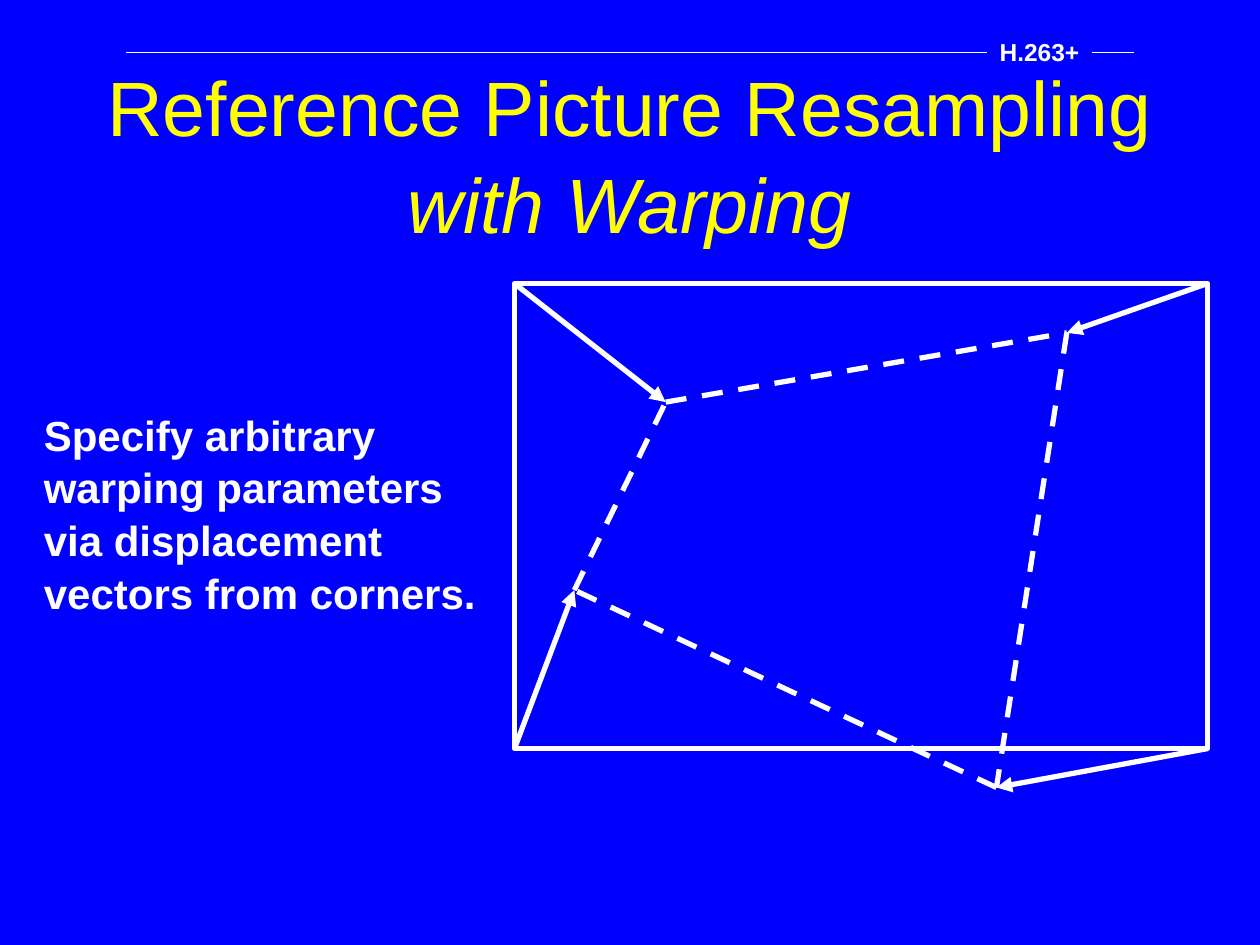
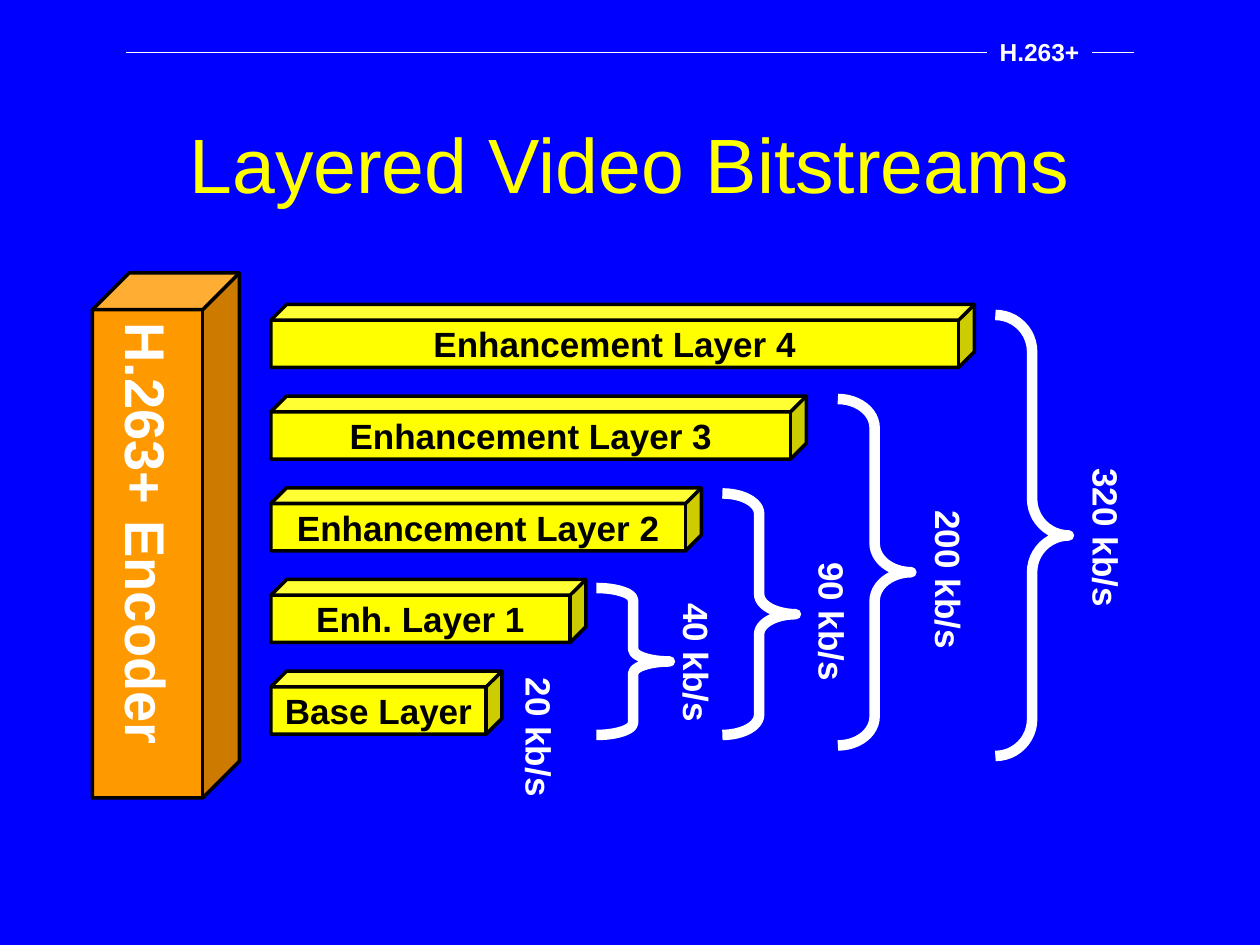
from itertools import pairwise

from lxml.etree import SubElement
from pptx import Presentation
from pptx.dml.color import RGBColor
from pptx.enum.dml import MSO_LINE
from pptx.enum.shapes import MSO_CONNECTOR, MSO_SHAPE
from pptx.enum.text import MSO_ANCHOR, MSO_AUTO_SIZE, PP_ALIGN
from pptx.oxml.ns import qn
from pptx.util import Inches, Pt

COLORS = {
    "back": "0000FF",
    "title": "FFFF00",
    "layer": "FFFF00",
    "encoder": "FF9900",
    "light": "FFFFFF",
    "dark": "000000",
}
FONT = "Arial"
COLS, ROWS = 120, 90  # grid of 1/12 inch cells
TITLE_ONLY = 5


def rgb(name):
    return RGBColor.from_string(COLORS[name])


def grid(*cells):
    return [Inches(c / 12) for c in cells]


# Formatting helpers
def set_text(sp, lines, size, color="light", bold=True, align=PP_ALIGN.CENTER, wrap=False):
    tf = sp.text_frame
    frame_format = {
        "text": "\n".join(lines),
        "word_wrap": wrap,
        "auto_size": MSO_AUTO_SIZE.NONE,
        "vertical_anchor": MSO_ANCHOR.MIDDLE,
    }
    for name, value in frame_format.items():
        setattr(tf, name, value)
    for p in tf.paragraphs:
        p.alignment = align
        if len(lines) > 1:
            p.line_spacing = 1.05
        for r in p.runs:
            for name, value in {"name": FONT, "size": Pt(size), "bold": bold}.items():
                setattr(r.font, name, value)
            r.font.color.rgb = rgb(color)
    return tf


def set_line(sp, color, width):
    sp.line.color.rgb = rgb(color)
    sp.line.width = Pt(width)


# Element helpers
def add_shape(s, kind, box, fill=None, line=None, width=0):
    sp = s.shapes.add_shape(kind, *grid(*box))
    sp.shadow.inherit = False
    if fill:
        sp.fill.solid()
        sp.fill.fore_color.rgb = rgb(fill)
    else:
        sp.fill.background()
    if line:
        set_line(sp, line, width)
    else:
        sp.line.fill.background()
    return sp


def add_line(s, start, end, width=3, dashed=False, arrow=False):
    cx = s.shapes.add_connector(MSO_CONNECTOR.STRAIGHT, *grid(*start, *end))
    set_line(cx, "light", width)
    if dashed:
        cx.line.dash_style = MSO_LINE.DASH
    if arrow:
        SubElement(cx.line._get_or_add_ln(), qn("a:tailEnd"), type="triangle")
    SubElement(cx.element.spPr, qn("a:effectLst"))


def add_label(s, lines, box, size, align=PP_ALIGN.CENTER, rotation=0):
    sp = s.shapes.add_textbox(*grid(*box))
    sp.rotation = rotation
    set_text(sp, lines, size, align=align)


def add_cube(s, text, box, fill, size, color):
    sp = add_shape(s, MSO_SHAPE.CUBE, box, fill, "dark", 2)
    sp.adjustments[0] = 0.25
    set_text(sp, [text], size, color)
    return sp


def add_brace(s, left, top, bottom, width=7):
    height = bottom - top
    sp = add_shape(s, MSO_SHAPE.RIGHT_BRACE, (left, top, width, height), None, "light", 6)
    sp.adjustments[0] = height / 12 / width  # each curve takes 1/12 of the height
    sp.adjustments[1] = 0.5


def add_slide(prs, title, top, italic_line=None):
    s = prs.slides.add_slide(prs.slide_layouts[TITLE_ONLY])
    sp = s.shapes.title
    sp.left, sp.top, sp.width, sp.height = grid(9, top, COLS - 18, 15)
    tf = set_text(sp, [title], 44, "title", bold=False, wrap=True)
    if italic_line:
        p = tf.paragraphs[0]
        p.line_spacing = 1.05
        p.add_line_break()
        r = p.add_run()
        r.text = italic_line
        font_format = {"name": FONT, "size": Pt(44), "bold": False, "italic": True}
        for name, value in font_format.items():
            setattr(r.font, name, value)
        r.font.color.rgb = rgb("title")
    # Header rule with its tag
    add_line(s, (12, 5), (COLS - 12, 5), width=0.75)
    tag = add_shape(s, MSO_SHAPE.RECTANGLE, (94, 2.9, 10, 4.1), "back")
    set_text(tag, ["H.263+"], 14)
    return s


# Slides
def build_warping(prs):
    s = add_slide(prs, "Reference Picture Resampling", 7, "with Warping")
    left, top, width, height = frame = (49, 27, 66, 44.3)
    add_shape(s, MSO_SHAPE.RECTANGLE, frame, None, "light", 3)

    # Clockwise from the top left
    right, bottom = left + width, top + height
    corners = [(left, top), (right, top), (right, bottom), (left, bottom)]
    warped = [(63.4, 38.3), (101.6, 31.7), (94.9, 75), (54.7, 56.2)]
    for corner, target in zip(corners, warped):
        add_line(s, corner, target, arrow=True)
    for start, end in pairwise(warped + warped[:1]):
        add_line(s, start, end, dashed=True)

    lines = ["Specify arbitrary", "warping parameters",
             "via displacement", "vectors from corners."]
    add_label(s, lines, (3, 38.6, 44.6, 20.4), 24, PP_ALIGN.LEFT)


def build_layers(prs):
    s = add_slide(prs, "Layered Video Bitstreams", 8)

    # Layers, from the top
    layers = [("Enhancement Layer 4", 67), ("Enhancement Layer 3", 51),
              ("Enhancement Layer 2", 41), ("Enh. Layer 1", 30), ("Base Layer", 22)]
    for i, (name, width) in enumerate(layers):
        add_cube(s, name, (25.8, 29 + 8.73 * i, width, 6), "layer", 20, "dark")

    # Braces: left, top, bottom
    for brace in [(56.8, 56, 70), (68.8, 47, 70), (79.8, 38, 71), (94.8, 30, 72)]:
        add_brace(s, *brace)

    # Encoder with text running down
    encoder = add_cube(s, "H.263+ Encoder", (8.8, 26, 14, 50), "encoder", 32, "light")
    encoder.element.txBody.bodyPr.set("vert", "eaVert")
    margins = {"margin_left": 0.05, "margin_right": 0.05,
               "margin_top": 0.1, "margin_bottom": 0.1}
    for name, value in margins.items():
        setattr(encoder.text_frame, name, Inches(value))

    # Bit rates, placed by their centres
    rates = [("20 kb/s", 51.4, 70.2), ("40 kb/s", 66.4, 63.1), ("90 kb/s", 79.3, 59.2),
             ("200 kb/s", 90.4, 55.2), ("320 kb/s", 105.4, 51.2)]
    width, height = 15, 5.3
    for rate, x, y in rates:
        box = (x - width / 2, y - height / 2, width, height)
        add_label(s, [rate], box, 20, rotation=90)


def main():
    prs = Presentation()
    prs.slide_width, prs.slide_height = grid(COLS, ROWS)
    fill = prs.slide_master.background.fill
    fill.solid()
    fill.fore_color.rgb = rgb("back")
    build_warping(prs)
    build_layers(prs)
    prs.save("out.pptx")


if __name__ == "__main__":
    main()
